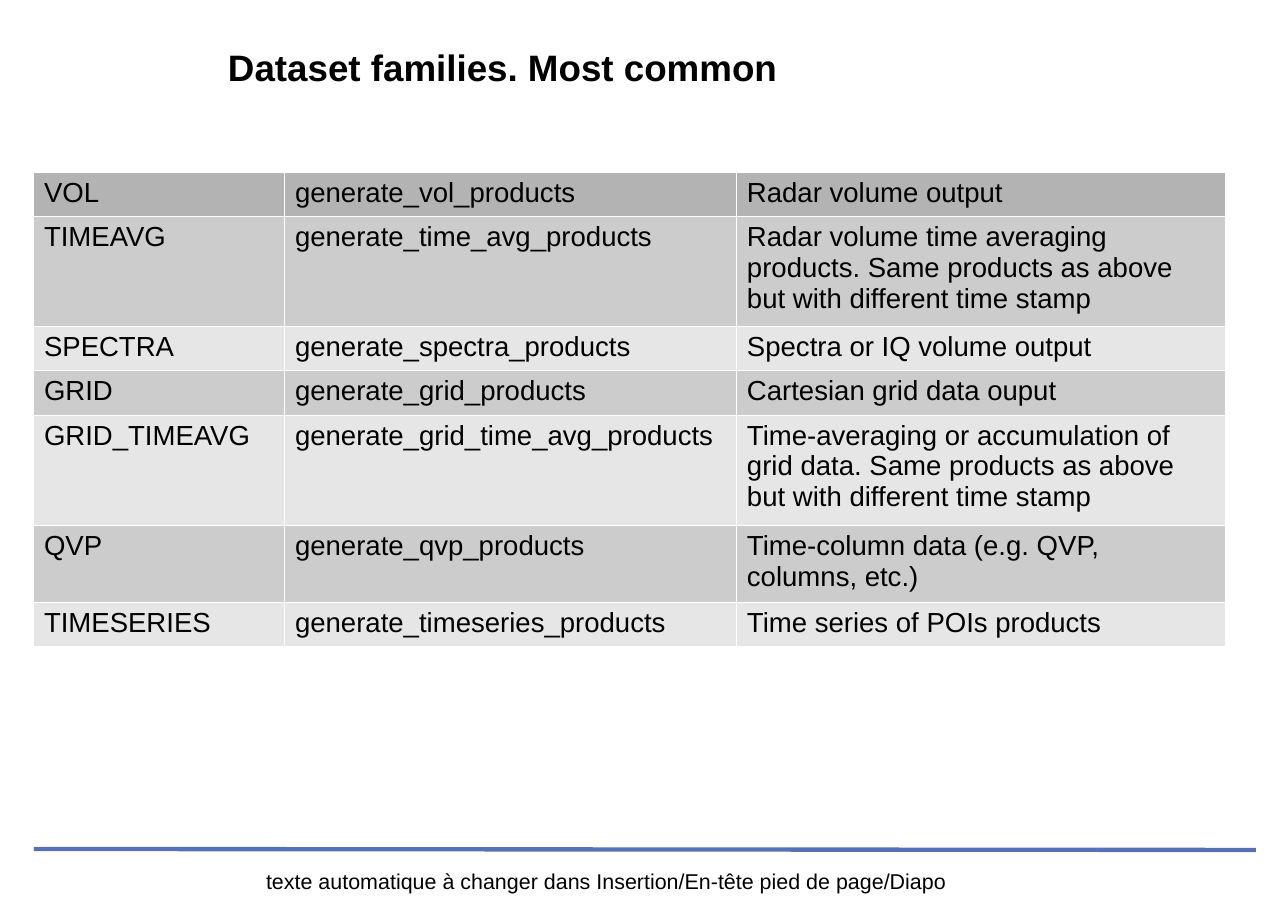
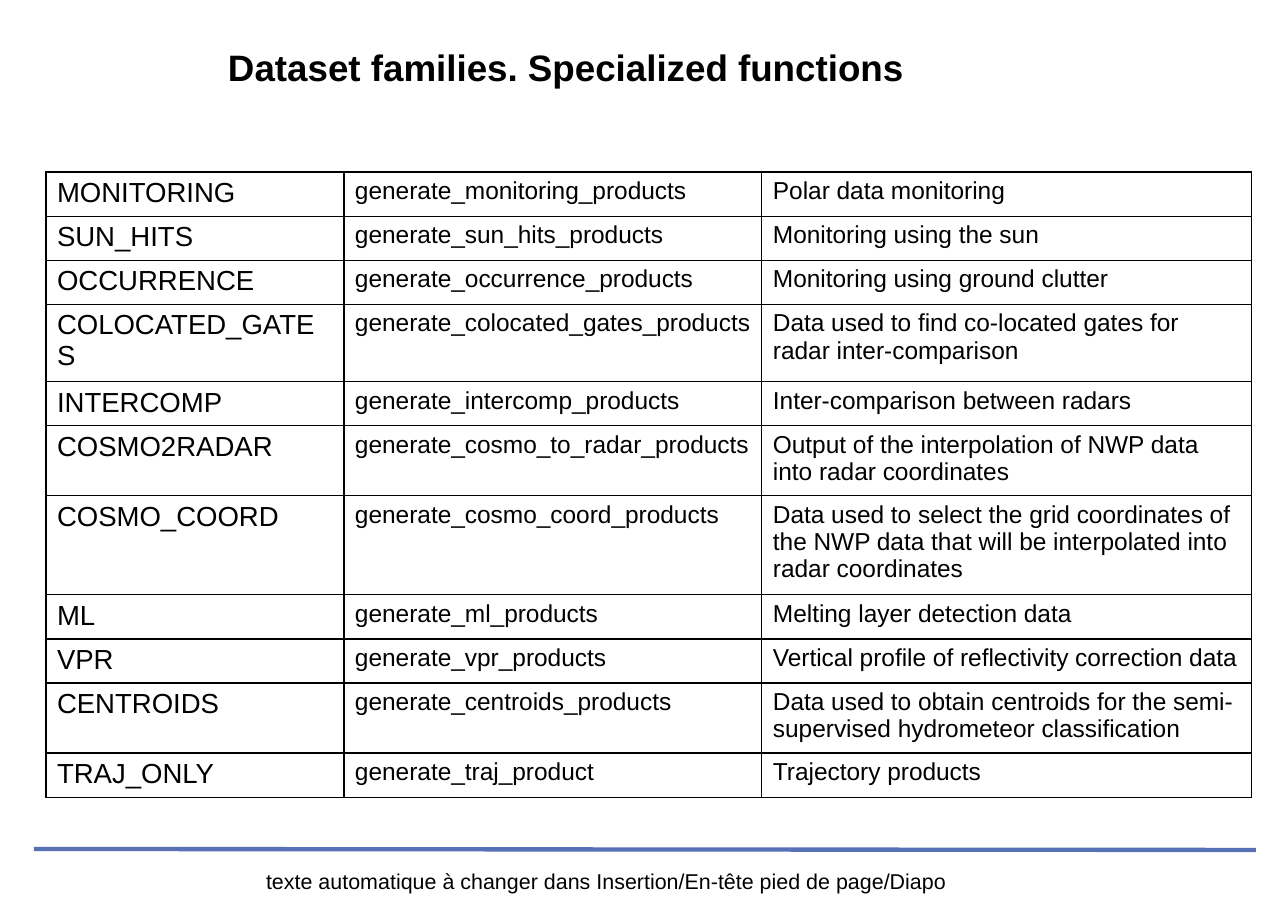
from dataclasses import dataclass

from lxml import etree
from pptx import Presentation
from pptx import util as u
from pptx.dml.color import RGBColor
from pptx.enum import shapes, text
from pptx.oxml.ns import qn

EMU_PER_PX = 8298


@dataclass(frozen=True)
class Theme:
    font: str = "Arial"
    ink: str = "000000"
    paper: str = "FFFFFF"
    rule: str = "5770B6"
    header: str = "B3B3B3"
    bands: tuple = ("CCCCCC", "E6E6E6")
    title_size: int = 24
    body_size: int = 18
    detail_size: int = 16
    footer_size: int = 14
    rule_width: float = 2.83


@dataclass(frozen=True)
class TableStyle:
    sizes: tuple
    heights: dict
    border: str
    border_width: float
    shaded: bool


THEME = Theme()
SHADED = TableStyle((THEME.body_size,) * 3, {1: 44, 2: 77, 3: 110}, THEME.paper, 0.06, True)
RULED = TableStyle(
    (THEME.body_size, THEME.detail_size, THEME.detail_size),
    {1: 44, 2: 70, 3: 99}, THEME.ink, 0.85, False,
)
FOOTER = "texte automatique à changer dans Insertion/En-tête pied de page/Diapo"

COMMON_FAMILIES = [
    ("VOL", "generate_vol_products", "Radar volume output", 1),
    ("TIMEAVG", "generate_time_avg_products",
     "Radar volume time averaging products. Same products as above but with different time stamp", 3),
    ("SPECTRA", "generate_spectra_products", "Spectra or IQ volume output", 1),
    ("GRID", "generate_grid_products", "Cartesian grid data ouput", 1),
    ("GRID_TIMEAVG", "generate_grid_time_avg_products",
     "Time-averaging or accumulation of grid data. Same products as above but with different time stamp", 3),
    ("QVP", "generate_qvp_products", "Time-column data (e.g. QVP, columns, etc.)", 2),
    ("TIMESERIES", "generate_timeseries_products", "Time series of POIs products", 1),
]
SPECIALIZED_FAMILIES = [
    ("MONITORING", "generate_monitoring_products", "Polar data monitoring", 1),
    ("SUN_HITS", "generate_sun_hits_products", "Monitoring using the sun", 1),
    ("OCCURRENCE", "generate_occurrence_products", "Monitoring using ground clutter", 1),
    ("COLOCATED_GATES", "generate_colocated_gates_products",
     "Data used to find co-located gates for radar inter-comparison", 2),
    ("INTERCOMP", "generate_intercomp_products", "Inter-comparison between radars", 1),
    ("COSMO2RADAR", "generate_cosmo_to_radar_products",
     "Output of the interpolation of NWP data into radar coordinates", 2),
    ("COSMO_COORD", "generate_cosmo_coord_products",
     "Data used to select the grid coordinates of the NWP data that will be interpolated into radar coordinates", 3),
    ("ML", "generate_ml_products", "Melting layer detection data", 1),
    ("VPR", "generate_vpr_products", "Vertical profile of reflectivity correction data", 1),
    ("CENTROIDS", "generate_centroids_products",
     "Data used to obtain centroids for the semi-supervised hydrometeor classification", 2),
    ("TRAJ_ONLY", "generate_traj_product", "Trajectory products", 1),
]


def px(length):
    return u.Emu(length * EMU_PER_PX)


def rgb(value):
    return RGBColor.from_string(value)


def add_run(paragraph, words, size, bold=False):
    run = paragraph.add_run()
    run.text = words
    run.font.name = THEME.font
    run.font.size = u.Pt(size)
    run.font.bold = bold
    run.font.color.rgb = rgb(THEME.ink)


def add_label(slide, box, words, size, align, anchor, bold=False):
    label = slide.shapes.add_textbox(*map(px, box))
    frame = label.text_frame
    frame.word_wrap = True
    frame.vertical_anchor = anchor
    frame.margin_left = frame.margin_top = frame.margin_right = frame.margin_bottom = 0
    paragraph = frame.paragraphs[0]
    paragraph.alignment = align
    add_run(paragraph, words, size, bold)


def add_rule(slide):
    rule = slide.shapes.add_connector(
        shapes.MSO_CONNECTOR.STRAIGHT, px(34), px(849), px(1256), px(850))
    rule.line.color.rgb = rgb(THEME.rule)
    rule.line.width = u.Pt(THEME.rule_width)
    etree.SubElement(rule._element.spPr, qn("a:effectLst"))


def set_borders(cell, color, width):
    properties = cell._tc.get_or_add_tcPr()
    for position, side in enumerate(("lnL", "lnR", "lnT", "lnB")):
        border = etree.Element(qn(f"a:{side}"), w=str(u.Pt(width)))
        fill = etree.SubElement(border, qn("a:solidFill"))
        etree.SubElement(fill, qn("a:srgbClr"), val=color)
        properties.insert(position, border)


def fill_cell(cell, words, size, row_index, style):
    add_run(cell.text_frame.paragraphs[0], words, size)
    if style.shaded:
        cell.fill.solid()
        band = THEME.bands[(row_index - 1) % 2] if row_index else THEME.header
        cell.fill.fore_color.rgb = rgb(band)
    else:
        cell.fill.background()
    set_borders(cell, style.border, style.border_width)


def add_family_table(slide, left, widths, families, style):
    heights = [style.heights[lines] for *_, lines in families]
    table = slide.shapes.add_table(
        len(families), len(widths), px(left), px(172), px(sum(widths)), px(sum(heights))).table
    table.first_row = table.horz_banding = False
    for column, width in zip(table.columns, widths):
        column.width = px(width)
    for row_index, (family, height) in enumerate(zip(families, heights)):
        row = table.rows[row_index]
        row.height = px(height)
        for cell, words, size in zip(row.cells, family, style.sizes):
            fill_cell(cell, words, size, row_index, style)


def add_family_slide(deck, title, left, widths, families, style):
    slide = deck.slides.add_slide(deck.slide_layouts[6])
    slide.background.fill.solid()
    slide.background.fill.fore_color.rgb = rgb(THEME.paper)
    add_rule(slide)
    add_label(slide, (228, 30, 1018, 74), title, THEME.title_size,
              text.PP_ALIGN.LEFT, text.MSO_ANCHOR.MIDDLE, bold=True)
    add_family_table(slide, left, widths, families, style)
    add_label(slide, (164, 868, 885, 43), FOOTER, THEME.footer_size,
              text.PP_ALIGN.CENTER, text.MSO_ANCHOR.TOP)


def main():
    deck = Presentation()
    deck.slide_width, deck.slide_height = px(1288), px(911)
    add_family_slide(deck, "Dataset families. Most common",
                     33, (251, 452, 489), COMMON_FAMILIES, SHADED)
    add_family_slide(deck, "Dataset families. Specialized functions",
                     46, (298, 418, 490), SPECIALIZED_FAMILIES, RULED)
    deck.save("out.pptx")


if __name__ == "__main__":
    main()
